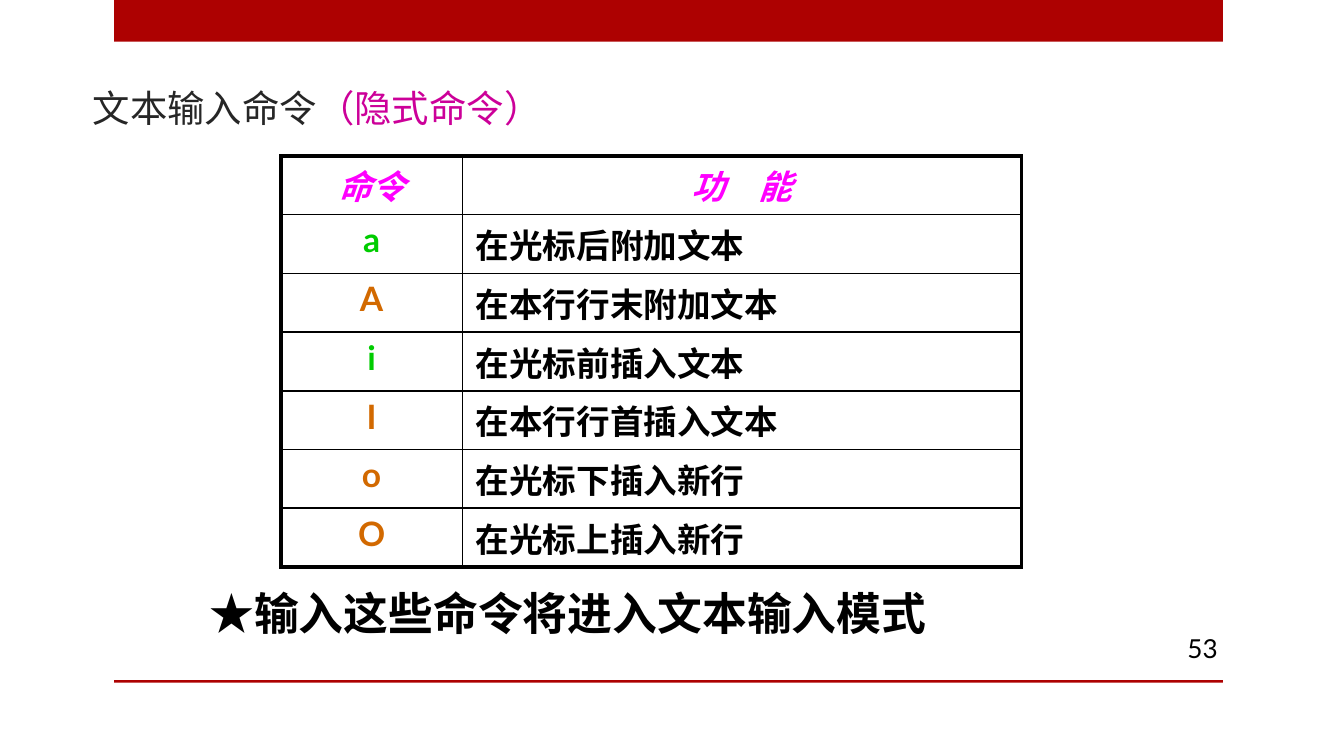
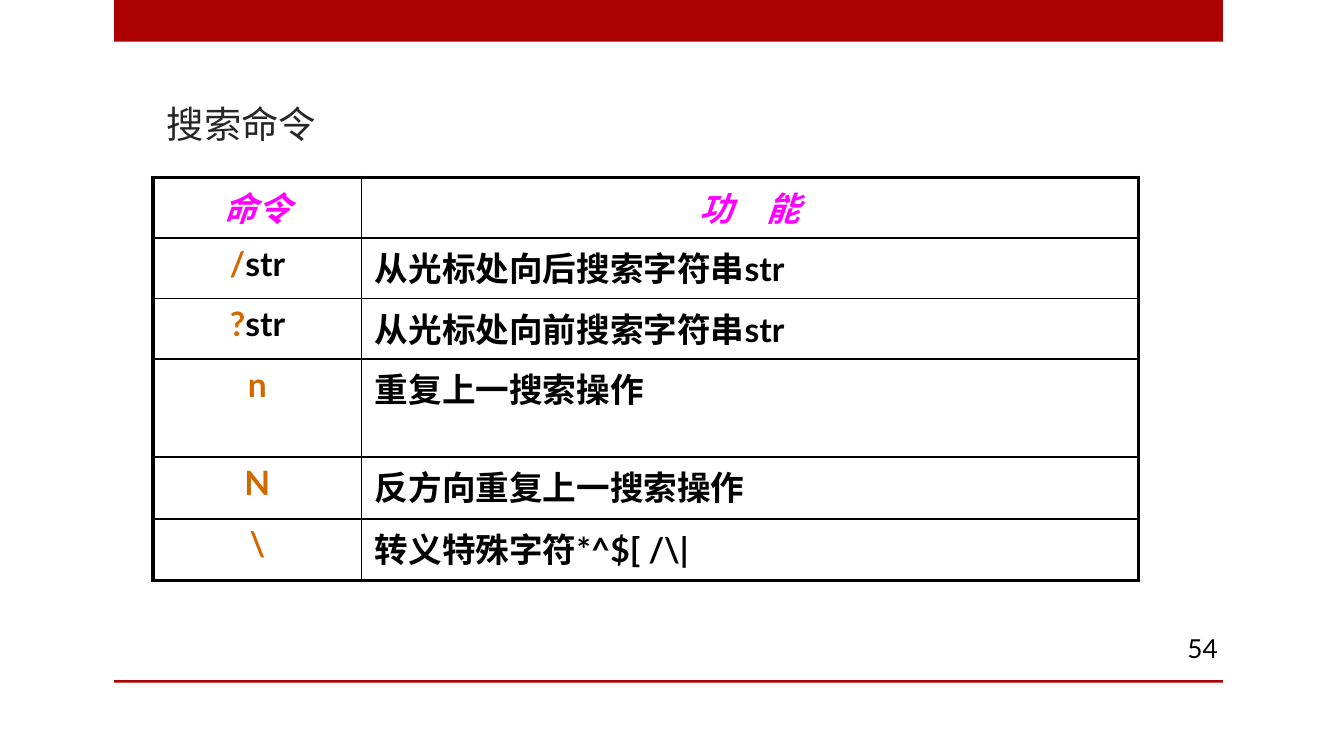
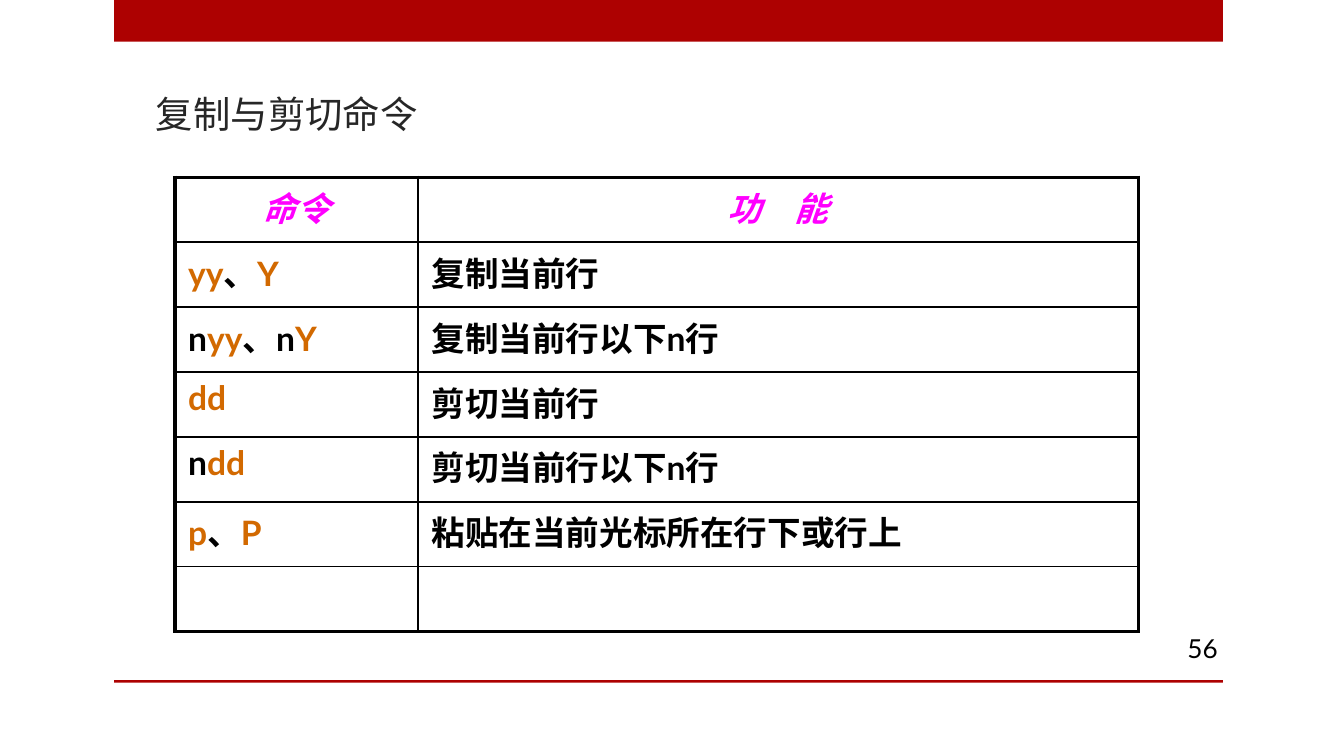
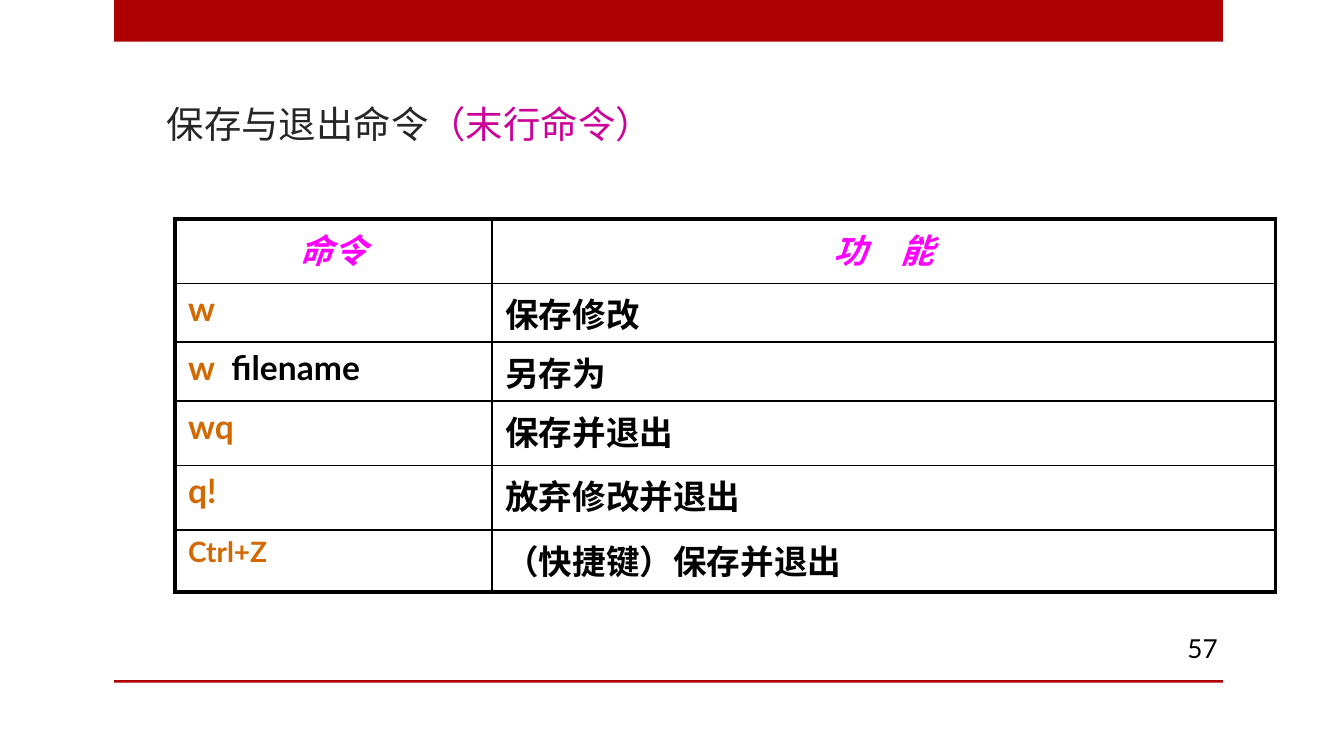
import pptx
import pptx.dml.color
import pptx.enum.shapes
import pptx.enum.text
import pptx.oxml
import pptx.util

Inches = pptx.util.Inches
ALIGN = pptx.enum.text.PP_ALIGN
ANCHOR = pptx.enum.text.MSO_ANCHOR

BAND_RED = "AD0101"
TITLE_GREY = "262626"
NOTE_PURPLE = "CC0099"
HEADING_PINK = "FF00FF"
KEY_ORANGE = "D26900"
KEY_GREEN = "00CC00"
BLACK = "000000"
TITLE_FONT = "Roboto Condensed"
BODY_FONT = "Lato"
OUTER_LINE = 2.25
INNER_LINE = 1
HEADINGS = ("命令", "功　能")


def rgb(code):
    """Turn a hex string into a colour."""
    return pptx.dml.color.RGBColor.from_string(code)


def key(text, color=KEY_ORANGE):
    """Return the run of a key that is typed."""
    return text, color


def plain(text):
    """Return a black run."""
    return text, BLACK


def write(frame, runs, size, font=BODY_FONT, bold=False, italic=False, align=ALIGN.LEFT):
    """Write one paragraph of coloured runs."""
    paragraph = frame.paragraphs[0]
    paragraph.alignment = align
    paragraph.font.name = font
    paragraph.font.size = pptx.util.Pt(size)
    paragraph.font.bold = bold
    paragraph.font.italic = italic
    for text, color in runs:
        run = paragraph.add_run()
        run.text = text
        run.font.color.rgb = rgb(color)


def place(shape, box):
    """Move a shape to left, top, width and height in inches."""
    shape.left, shape.top, shape.width, shape.height = map(Inches, box)


def add_master_bands(deck, slide):
    """Put the red top band and foot rule on the master."""
    for number, (top, height) in enumerate([(0, 0.31), (5.06, 0.02)]):
        band = slide.shapes.add_shape(
            pptx.enum.shapes.MSO_SHAPE.RECTANGLE,
            Inches(0.85), Inches(top), Inches(8.25), Inches(height))
        band.shadow.inherit = False
        band.fill.solid()
        band.fill.fore_color.rgb = rgb(BAND_RED)
        band.line.fill.background()
        band.element.nvSpPr.cNvPr.id = 101 + number
        deck.slide_master.shapes.element.append(band.element)


def add_title(slide, box, heading, note):
    """Fill the title with a heading and an optional purple note."""
    title = slide.shapes.title
    place(title, box)
    frame = title.text_frame
    frame.vertical_anchor = ANCHOR.BOTTOM
    frame.auto_size = pptx.enum.text.MSO_AUTO_SIZE.NONE
    runs = [(heading, TITLE_GREY)]
    if note:
        runs.append((note, NOTE_PURPLE))
    write(frame, runs, 20, font=TITLE_FONT)


def add_text(slide, box, text, size, **style):
    """Add a wrapped text box and return its frame."""
    frame = slide.shapes.add_textbox(*map(Inches, box)).text_frame
    frame.word_wrap = True
    write(frame, [plain(text)], size, **style)
    return frame


def add_page_number(slide, number):
    """Add the page number at the lower right."""
    frame = add_text(slide, (8.33, 4.67, 0.83, 0.3), str(number), 14, align=ALIGN.RIGHT)
    frame.vertical_anchor = ANCHOR.MIDDLE


def set_borders(cell, **widths):
    """Draw the black cell borders, keyed by side letter."""
    properties = cell._tc.get_or_add_tcPr()
    for side, width in widths.items():
        properties.append(pptx.oxml.parse_xml(
            f'<a:ln{side} xmlns:a="http://schemas.openxmlformats.org/drawingml/2006/main"'
            f' w="{pptx.util.Pt(width)}"><a:solidFill><a:srgbClr val="{BLACK}"/>'
            f'</a:solidFill></a:ln{side}>'))


def add_command_table(slide, origin, widths, heights, commands, key_align):
    """Add the table of commands and what they do."""
    table = slide.shapes.add_table(
        len(heights), len(widths), *map(Inches, (*origin, sum(widths), sum(heights)))).table
    table.first_row = table.horz_banding = False
    for column, width in zip(table.columns, widths):
        column.width = Inches(width)
    for row, height in zip(table.rows, heights):
        row.height = Inches(height)

    last = len(heights) - 1
    for index, row in enumerate(table.rows):
        for side, cell in enumerate(row.cells):
            cell.margin_left = cell.margin_right = Inches(0.1)
            cell.margin_top = cell.margin_bottom = pptx.util.Pt(2.7)
            set_borders(
                cell,
                L=INNER_LINE if side else OUTER_LINE,
                R=OUTER_LINE if side else INNER_LINE,
                T=INNER_LINE if index else OUTER_LINE,
                B=OUTER_LINE if index == last else INNER_LINE)
            cell.fill.background()

    for cell, heading in zip(table.rows[0].cells, HEADINGS):
        write(cell.text_frame, [(heading, HEADING_PINK)], 18,
              bold=True, italic=True, align=ALIGN.CENTER)
    for index, (keys, meaning) in enumerate(commands, start=1):
        key_size = 15 if keys == [key("Ctrl+Z")] else 18
        write(table.cell(index, 0).text_frame, keys, key_size, bold=True, align=key_align)
        write(table.cell(index, 1).text_frame, [plain(meaning)], 18, bold=True)


INPUT_COMMANDS = [
    ([key("a", KEY_GREEN)], "在光标后附加文本"),
    ([key("A")], "在本行行末附加文本"),
    ([key("i", KEY_GREEN)], "在光标前插入文本"),
    ([key("I")], "在本行行首插入文本"),
    ([key("o")], "在光标下插入新行"),
    ([key("O")], "在光标上插入新行"),
]
SEARCH_COMMANDS = [
    ([key("/"), plain("str")], "从光标处向后搜索字符串str"),
    ([key("?"), plain("str")], "从光标处向前搜索字符串str"),
    ([key("n")], "重复上一搜索操作"),
    ([key("N")], "反方向重复上一搜索操作"),
    ([key("\\")], "转义特殊字符*^$[ /\\|"),
]
COPY_COMMANDS = [
    ([key("yy"), plain("、"), key("Y")], "复制当前行"),
    ([plain("n"), key("yy"), plain("、n"), key("Y")], "复制当前行以下n行"),
    ([key("dd")], "剪切当前行"),
    ([plain("n"), key("dd")], "剪切当前行以下n行"),
    ([key("p"), plain("、"), key("P")], "粘贴在当前光标所在行下或行上"),
]
SAVE_COMMANDS = [
    ([key("w")], "保存修改"),
    ([key("w"), plain("  filename")], "另存为"),
    ([key("wq")], "保存并退出"),
    ([key("q!")], "放弃修改并退出"),
    ([key("Ctrl+Z")], "（快捷键）保存并退出"),
]
PAGES = [
    (53, (0.59, 0.53, 8.52, 0.49), "文本输入命令", "（隐式命令）",
     (2.09, 1.16), (1.35, 4.16), [0.42] + [0.43] * 6, INPUT_COMMANDS, ALIGN.CENTER),
    (54, (1.14, 0.53, 8.52, 0.61), "搜索命令", "",
     (1.14, 1.32), (1.55, 5.78), [0.45] * 3 + [0.73] + [0.46] * 2, SEARCH_COMMANDS, ALIGN.CENTER),
    (56, (1.06, 0.37, 8.52, 0.69), "复制与剪切命令", "",
     (1.3, 1.32), (1.81, 5.36), [3.38 / 7] * 7, COPY_COMMANDS, ALIGN.LEFT),
    (57, (1.14, 0.53, 8.52, 0.61), "保存与退出命令", "（末行命令）",
     (1.3, 1.63), (2.36, 5.83), [0.48, 0.4, 0.39, 0.48, 0.48, 0.46], SAVE_COMMANDS, ALIGN.LEFT),
]


def main():
    """Build the four command slides."""
    deck = pptx.Presentation()
    deck.slide_width, deck.slide_height = Inches(10), Inches(10 * 9 / 16)
    for number, title_box, heading, note, *table_parts in PAGES:
        slide = deck.slides.add_slide(deck.slide_layouts[5])
        add_title(slide, title_box, heading, note)
        add_command_table(slide, *table_parts)
        add_page_number(slide, number)

    first_slide = deck.slides[0]
    add_master_bands(deck, first_slide)
    reminder = add_text(first_slide, (1.46, 4.31, 6.46, 0.5),
                        "★输入这些命令将进入文本输入模式", 24, bold=True)
    reminder.auto_size = pptx.enum.text.MSO_AUTO_SIZE.SHAPE_TO_FIT_TEXT
    deck.save("out.pptx")


if __name__ == "__main__":
    main()
